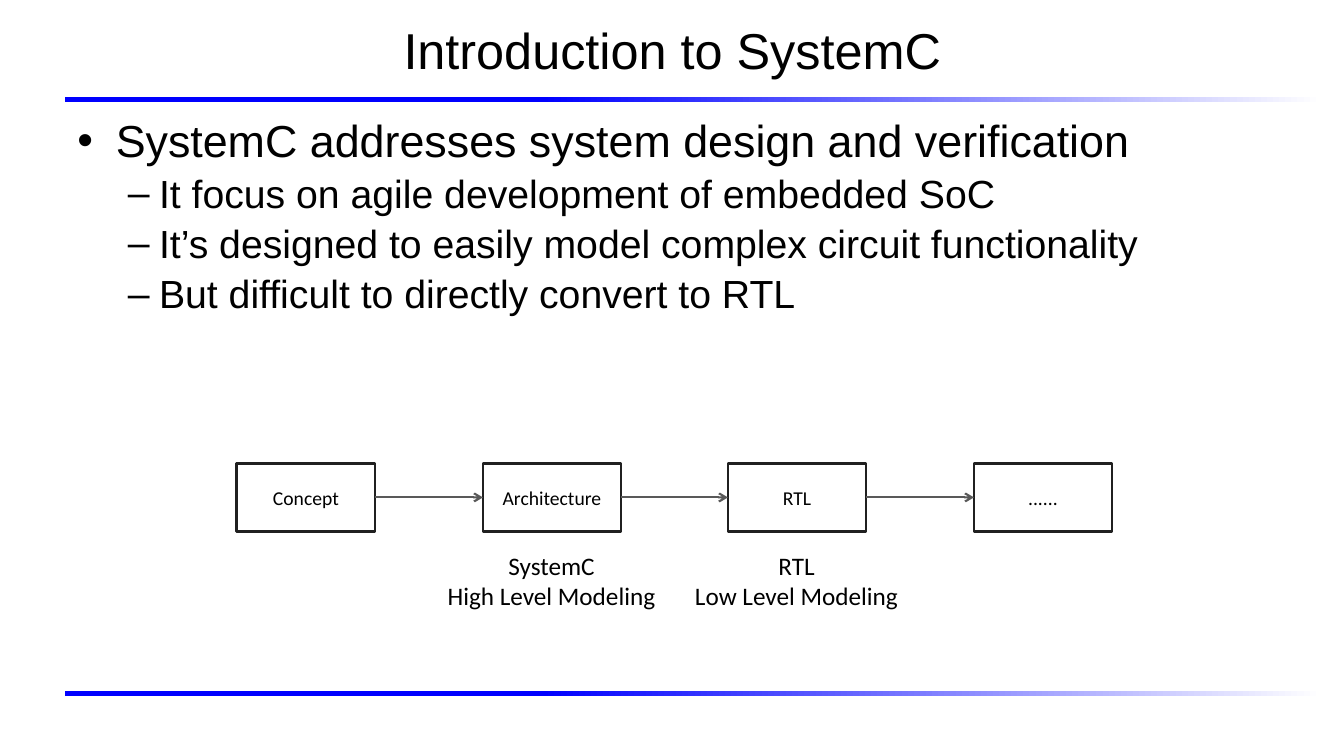
from itertools import pairwise

from lxml.etree import SubElement
from pptx import Presentation
from pptx.dml.color import RGBColor
from pptx.enum.shapes import MSO_CONNECTOR, MSO_SHAPE
from pptx.enum.text import MSO_ANCHOR, PP_ALIGN
from pptx.oxml.ns import qn
from pptx.util import Pt

PX = 9144
BLACK = RGBColor(0x00, 0x00, 0x00)
WHITE = RGBColor(0xFF, 0xFF, 0xFF)
BLUE = RGBColor(0x00, 0x00, 0xFF)
OUTLINE = RGBColor(0x20, 0x20, 0x20)
ARROW = RGBColor(0x59, 0x59, 0x59)
RIGHT_SIDE, LEFT_SIDE = 3, 1

LEVELS = [
    {"bullet": "•", "size": 32, "margin": 38, "hang": 38,
     "spacing": {"space_before": Pt(6.4)}},
    {"bullet": "–", "size": 28, "margin": 81, "hang": 31,
     "spacing": {"space_before": Pt(5.6), "line_spacing": 0.9, "level": 1}},
]
POINTS = [
    (0, "SystemC addresses system design and verification"),
    (1, "It focus on agile development of embedded SoC"),
    (1, "It’s designed to easily model complex circuit functionality"),
    (1, "But difficult to directly convert to RTL"),
]
STAGES = [
    ("Concept", []),
    ("Architecture", ["SystemC", "High Level Modeling"]),
    ("RTL", ["RTL", "Low Level Modeling"]),
    ("......", []),
]


def emu(*lengths):
    return [length * PX for length in lengths]


def set_format(target, values):
    for name, value in values.items():
        setattr(target, name, value)


def write_line(paragraph, text, size, font, align=PP_ALIGN.CENTER):
    paragraph.alignment = align
    run = paragraph.add_run()
    run.text = text
    set_format(run.font, {"size": Pt(size), "name": font})
    run.font.color.rgb = BLACK


def add_text_frame(slide, box, **values):
    frame = slide.shapes.add_textbox(*emu(*box)).text_frame
    set_format(frame, {"word_wrap": True, **values})
    return frame


def add_rule(slide, box):
    """Draw a bar that fades from blue to white."""
    rule = slide.shapes.add_shape(MSO_SHAPE.RECTANGLE, *emu(*box))
    rule.shadow.inherit = False
    rule.line.fill.background()
    rule.fill.gradient()
    rule.fill.gradient_angle = 0
    for stop, position, color in zip(rule.fill.gradient_stops, (0.38, 1), (BLUE, WHITE)):
        stop.position = position
        stop.color.rgb = color


def add_title(slide, box):
    frame = add_text_frame(slide, box, vertical_anchor=MSO_ANCHOR.MIDDLE)
    write_line(frame.paragraphs[0], "Introduction to SystemC", 36, "Arial")


def add_points(slide, box):
    frame = add_text_frame(slide, box)
    for index, (depth, text) in enumerate(POINTS):
        level = LEVELS[depth]
        paragraph = frame.add_paragraph() if index else frame.paragraphs[0]
        write_line(paragraph, text, level["size"], "Arial", PP_ALIGN.LEFT)
        set_format(paragraph, level["spacing"])
        properties = paragraph._p.get_or_add_pPr()
        properties.set("marL", str(level["margin"] * PX))
        properties.set("indent", str(-level["hang"] * PX))
        SubElement(properties, qn("a:buFont"), typeface="Arial")
        SubElement(properties, qn("a:buChar"), char=level["bullet"])


def add_stage(slide, box, name):
    stage = slide.shapes.add_shape(MSO_SHAPE.RECTANGLE, *emu(*box))
    stage.shadow.inherit = False
    stage.fill.solid()
    stage.fill.fore_color.rgb = WHITE
    stage.line.color.rgb = OUTLINE
    stage.line.width = Pt(2)
    stage.text_frame.vertical_anchor = MSO_ANCHOR.MIDDLE
    write_line(stage.text_frame.paragraphs[0], name, 14, "Calibri")
    return stage


def add_caption(slide, box, lines):
    frame = add_text_frame(slide, box, word_wrap=False)
    for index, line in enumerate(lines):
        paragraph = frame.add_paragraph() if index else frame.paragraphs[0]
        write_line(paragraph, line, 18, "Calibri")


def join_stages(slide, source, target):
    arrow = slide.shapes.add_connector(MSO_CONNECTOR.STRAIGHT, 0, 0, 0, 0)
    arrow.begin_connect(source, RIGHT_SIDE)
    arrow.end_connect(target, LEFT_SIDE)
    arrow.line.color.rgb = ARROW
    arrow.line.width = Pt(1.5)
    SubElement(arrow.line._get_or_add_ln(), qn("a:tailEnd"), type="arrow")
    SubElement(arrow._element.spPr, qn("a:effectLst"))


def add_flow(slide, box):
    left, top, width, height = box
    stage_width, caption_width = 137, 244
    pitch = (width - stage_width) / (len(STAGES) - 1)
    stages = []
    for index, (name, caption) in enumerate(STAGES):
        stage_left = round(left + index * pitch)
        stages.append(add_stage(slide, (stage_left, top, stage_width, height), name))
        if caption:
            caption_left = stage_left + (stage_width - caption_width) // 2
            add_caption(slide, (caption_left, top + height + 14, caption_width, 70), caption)
    for source, target in pairwise(stages):
        join_stages(slide, source, target)


def main():
    presentation = Presentation()
    presentation.slide_width, presentation.slide_height = emu(1333, 750)
    slide = presentation.slides.add_slide(presentation.slide_layouts[6])
    for top in (96, 686):
        add_rule(slide, (64, top, 1247, 5))
    add_title(slide, (68, 5, 1198, 87))
    add_points(slide, (67, 107, 1200, 287))
    add_flow(slide, (235, 460, 868, 67))
    presentation.save("out.pptx")


if __name__ == "__main__":
    main()
